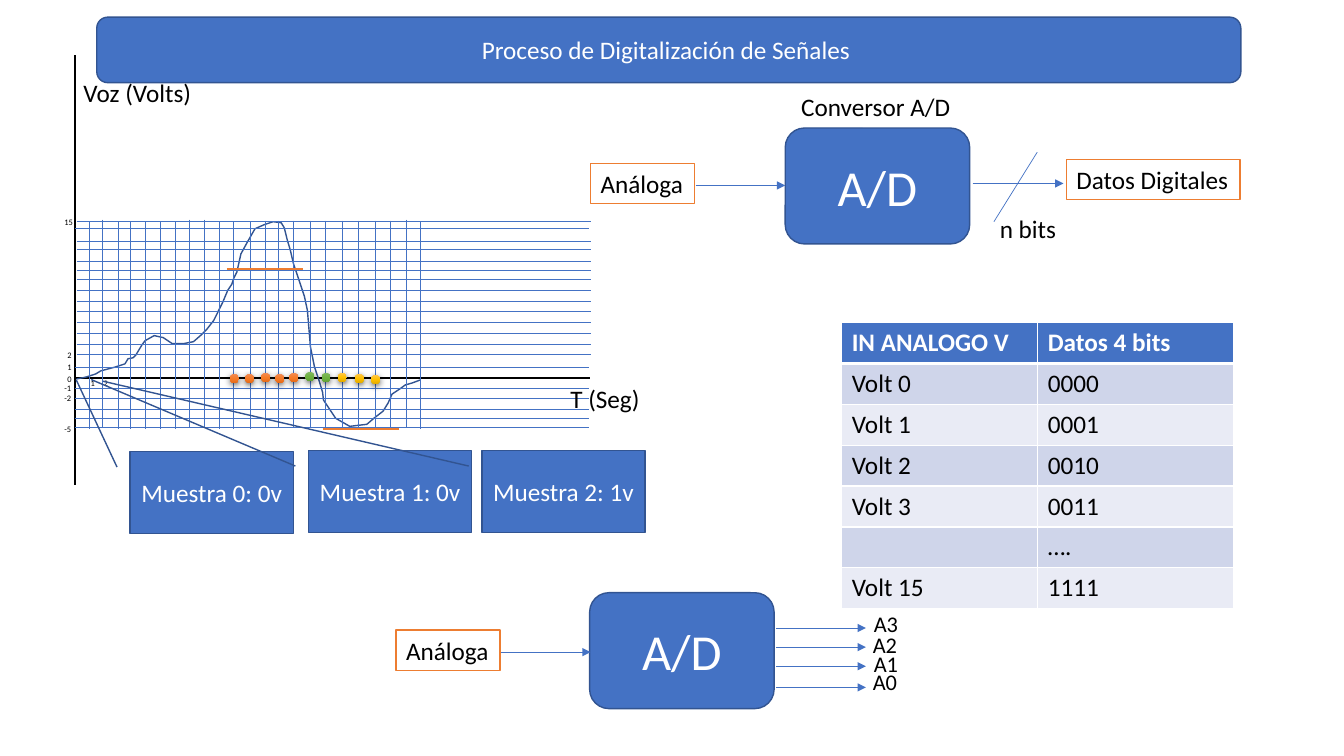
from dataclasses import dataclass
from itertools import product
from typing import NamedTuple
from lxml.etree import SubElement
from pptx import Presentation
from pptx.dml.color import RGBColor
from pptx.enum.shapes import MSO_CONNECTOR, MSO_SHAPE
from pptx.enum.text import MSO_ANCHOR, MSO_AUTO_SIZE, PP_ALIGN
from pptx.oxml import parse_xml
from pptx.oxml.ns import nsdecls, qn
from pptx.util import Emu, Pt

@dataclass(frozen=True)
class Theme:
    font: str = "Calibri"
    blue: str = "4472C4"
    edge: str = "325491"
    orange: str = "ED7D31"
    black: str = "000000"
    white: str = "FFFFFF"
    bands: tuple = ("E9EBF5", "CFD5EA")
    reds: tuple = ("F18C57", "F67B28", "E56C19")
    greens: tuple = ("81B861", "6FB242", "62A336")
    yellows: tuple = ("FFC64B", "FFC000", "E3AB00")
    tiny: int = 6
    small: int = 16
    body: int = 18
    big: int = 36

class Box(NamedTuple):
    x: float
    y: float
    w: float
    h: float

class Label(NamedTuple):
    text: str
    box: Box
    size: int
    framed: bool = False

class Line(NamedTuple):
    x1: float
    y1: float
    x2: float
    y2: float
    color: str
    width: float = 0.5
    arrow: bool = False

T = Theme()
CELL = 91440  # the slide is a grid of square cells, ten to the inch
COLS, ROWS = 133.33, 75
BAR = Box(9.6, 1.7, 113.5, 6.5)
VOICE = [
    (7.6, 37.6), (8.6, 37.4), (9.5, 37.1), (10, 36.8), (11.5, 36.4), (12.4, 36.1), (12.7, 35.6), (13.2, 35.5),
    (13.5, 35.2), (14.1, 34.2), (14.4, 33.8), (15.3, 33.3), (16.2, 33.5), (17.1, 34.1), (18.2, 34.1), (19.2, 33.9),
    (20, 33.2), (20.5, 32.7), (21.2, 31.8), (21.8, 30.6), (22.1, 30), (22.6, 28.8), (23, 28.2), (23.2, 27.6),
    (23.5, 27), (23.9, 25.2), (24.5, 24.1), (25.3, 22.7), (26.2, 22.3), (27.1, 22), (27.9, 22.1), (28.2, 22.6),
    (28.5, 23.8), (28.8, 24.8), (29.1, 26.1), (29.4, 27), (29.8, 28.2), (30.2, 29.4), (30.5, 30.8), (30.8, 34.4),
    (31.2, 36.4), (31.7, 37.9), (32, 38.9), (32.1, 39.7), (32.7, 40.6), (33.3, 41.5), (34.7, 42.3), (36.4, 42.1),
    (37.1, 41.5), (38, 40.8), (38.5, 40), (38.9, 39.1), (39.8, 38.5), (40.2, 38.2), (40.9, 38), (41.7, 37.7)]
# Grid lines, keyed by the edge they start from
LEVELS = {7.4: (38.5, 39.5, 40.6, 41.5, 42.4, 36.4, 22.7),
          7.6: (35.2, 34.2, 33.1, 32, 30.9, 29.9, 28.8, 27.7, 26.8, 25.9, 24.7, 23.9, 22)}
TIMES = {22: (8.9, 11.7, 12.9, 14.4, 15.9, 17.4, 21.8, 23.2, 24.8, 41.7),
         21.8: (10.2, 18.8, 20.3, 40.3),
         21.9: (26.3, 27.6, 29.1, 30.8, 32.3, 34, 35.6, 37.2, 38.7)}
TICKS = [("-1", 5.4, 37.5), ("0", 5.7, 36.6), ("1", 5.7, 35.4), ("2", 5.7, 34.2), ("-2", 5.4, 38.5),
         ("-5", 5.4, 41.6), ("15", 5.4, 21), ("1", 8, 37), ("2", 9.3, 37)]
SAMPLES = [("Muestra 0: 0v ", 12.9, 44.8, -0.88, -0.33), ("Muestra 1: 0v ", 30.6, 44.7, -0.87, -1.33),
           ("Muestra 2: 1v", 47.8, 44.7, -0.85, -2.32)]
DOTS = {T.reds: [(22.8, 37.1), (24.3, 37.1), (25.9, 37), (27.3, 37.1), (28.7, 37)],
        T.greens: [(30.3, 36.9), (31.9, 37)], T.yellows: [(33.5, 37), (35.2, 37.1), (36.8, 37.2)]}
LABELS = [Label("T (Seg)", Box(55.6, 37.5, 9, 4), T.body),
          Label("Voz (Volts)", Box(7.3, 7.2, 12.8, 4), T.body),
          Label("Conversor A/D", Box(78.5, 8.6, 17, 4), T.body),
          Label("Análoga", Box(58.6, 16.2, 10.3, 4), T.body, True),
          Label("Datos Digitales", Box(105.8, 15.8, 17.2, 4), T.body, True),
          Label("n bits", Box(98.2, 20.7, 7.7, 4), T.body),
          Label("Análoga", Box(39.3, 62.5, 10.3, 4), T.body, True)]
WIRES = [Line(69, 18.4, 77.9, 18.4, T.blue, arrow=True), Line(96.5, 18.2, 105.5, 18.2, T.blue, arrow=True),
         Line(102.9, 15.1, 98.6, 22, T.blue), Line(49.6, 64.7, 58.6, 64.7, T.blue, arrow=True)]
OUTPUTS = [("A3", 62.3, 85.7, 60), ("A2", 64.2, 85.6, 62.1), ("A1", 66.1, 85.7, 64), ("A0", 68.2, 85.6, 65.8)]
CODES = [("IN ANALOGO V", "Datos 4 bits"), *((f"Volt {n}", f"{n:04b}") for n in range(4)),
         ("", "…."), ("Volt 15", "1111")]

def grid(*cells: float) -> list:
    return [Emu(round(c * CELL)) for c in cells]

def rgb(color: str) -> RGBColor:
    return RGBColor.from_string(color)

def write(tf, text: str, *, size: int = T.body, color: str = T.black, bold: bool = False, align=PP_ALIGN.LEFT) -> None:
    p = tf.paragraphs[0]
    p.alignment = align
    r = p.add_run()
    r.text = text
    r.font.name, r.font.size, r.font.bold = T.font, Pt(size), bold
    r.font.color.rgb = rgb(color)

def paint(sp, fill: str, line: str) -> None:
    sp.fill.solid()
    sp.fill.fore_color.rgb = rgb(fill)
    sp.line.color.rgb = rgb(line)
    sp.line.width = Pt(1)

def add_block(shapes, kind, box: Box, text: str = "", size: int = T.body):
    sp = shapes.add_shape(kind, *grid(*box))
    sp.shadow.inherit = False
    paint(sp, T.blue, T.edge)
    if text:
        sp.text_frame.word_wrap = True
        sp.text_frame.vertical_anchor = MSO_ANCHOR.MIDDLE
        write(sp.text_frame, text, size=size, color=T.white, align=PP_ALIGN.CENTER)
    return sp

def add_label(shapes, label: Label) -> None:
    sp = shapes.add_textbox(*grid(*label.box))
    if label.framed:
        paint(sp, T.white, T.orange)
    sp.text_frame.word_wrap = False
    sp.text_frame.auto_size = MSO_AUTO_SIZE.SHAPE_TO_FIT_TEXT
    write(sp.text_frame, label.text, size=label.size)

def add_line(shapes, line: Line) -> None:
    s = shapes.add_connector(MSO_CONNECTOR.STRAIGHT, *grid(*line[:4]))
    s.line.color.rgb = rgb(line.color)
    s.line.width = Pt(line.width)
    if line.arrow:
        SubElement(s._element.spPr.find(qn("a:ln")), qn("a:tailEnd"), type="triangle")
    SubElement(s._element.spPr, qn("a:effectLst"))

def add_dot(shapes, x: float, y: float, tones: tuple) -> None:
    sp = shapes.add_shape(MSO_SHAPE.OVAL, *grid(x, y, 0.9, 0.9))
    sp.line.fill.background()
    ln = sp._element.spPr.find(qn("a:ln"))
    stops = "".join(f'<a:gs pos="{pos}"><a:srgbClr val="{tone}"/></a:gs>'
                    for pos, tone in zip((0, 50000, 100000), tones))
    ln.addprevious(parse_xml(f'<a:gradFill {nsdecls("a")}><a:gsLst>{stops}</a:gsLst>'
                             '<a:lin ang="5400000" scaled="0"/></a:gradFill>'))
    ln.addnext(parse_xml(f'<a:effectLst {nsdecls("a")}><a:outerShdw blurRad="57150" dist="19050" dir="5400000">'
                         '<a:srgbClr val="000000"><a:alpha val="63000"/></a:srgbClr></a:outerShdw></a:effectLst>'))

def add_curve(shapes, points: list) -> None:
    fb = shapes.build_freeform(*grid(*points[0]))
    fb.add_line_segments([grid(*pt) for pt in points[1:]], close=False)
    sp = fb.convert_to_shape()
    sp.shadow.inherit = False
    paint(sp, T.blue, T.edge)
    sp.fill.background()

def add_codes(shapes, box: Box, rows: list) -> None:
    table = shapes.add_table(len(rows), 2, *grid(*box)).table
    for i, j in product(range(len(rows)), range(2)):
        cell, head = table.cell(i, j), i == 0
        cell.fill.solid()
        cell.fill.fore_color.rgb = rgb(T.blue if head else T.bands[i % 2])
        for n, side in enumerate("LRTB"):
            width = 3 if (i, side) in ((0, "B"), (1, "T")) else 1
            cell._tc.get_or_add_tcPr().insert(n, parse_xml(
                f'<a:ln{side} {nsdecls("a")} w="{Pt(width)}"><a:solidFill>'
                f'<a:srgbClr val="{T.white}"/></a:solidFill></a:ln{side}>'))
        if rows[i][j]:
            write(cell.text_frame, rows[i][j], bold=head, color=T.white if head else T.black)

def main() -> None:
    prs = Presentation()
    prs.slide_width, prs.slide_height = grid(COLS, ROWS)
    shapes = prs.slides.add_slide(prs.slide_layouts[5]).shapes
    # Title over its rounded bar
    title = shapes.title
    title.left, title.top, title.width, title.height = grid(*BAR)
    title.text_frame.auto_size = MSO_AUTO_SIZE.NONE
    title.text_frame.vertical_anchor = MSO_ANCHOR.MIDDLE
    write(title.text_frame, "Proceso de Digitalización de Señales ", color=T.white, align=PP_ALIGN.CENTER)
    title._element.addprevious(add_block(shapes, MSO_SHAPE.ROUNDED_RECTANGLE, BAR)._element)
    # Voice signal: axes, curve, grid and scale
    for end in ((7.4, 5.5, 7.4, 48.1), (7.4, 37.5, 58.5, 37.5)):
        add_line(shapes, Line(*end, T.black, 1.5))
    add_curve(shapes, VOICE)
    for x, levels in LEVELS.items():
        for y in levels:
            add_line(shapes, Line(x, y, x + 51, y, T.blue))
    for y, times in TIMES.items():
        for x in times:
            add_line(shapes, Line(x, y, x, y + 20.6, T.blue))
    for text, x, y in TICKS:
        add_label(shapes, Label(text, Box(x, y, 2.4 if len(text) == 1 else 2.9, 2), T.tiny))
    # Sample callouts, peak marks and sampling dots
    for text, x, y, tip_y, tip_x in SAMPLES:
        sp = add_block(shapes, MSO_SHAPE.LINE_CALLOUT_1, Box(x, y, 16.2, 8.1), text)
        for i, value in enumerate((0.19, -0.08, tip_y, tip_x)):
            sp.adjustments[i] = value
    for x, y in ((22.5, 26.7), (32, 42.6)):
        add_line(shapes, Line(x, y, x + 7.6, y, T.orange, 1.5))
    for tones, spots in DOTS.items():
        for x, y in spots:
            add_dot(shapes, x, y, tones)
    # Converters with their inputs, outputs and code table
    for x, y in ((77.9, 12.7), (58.5, 58.8)):
        add_block(shapes, MSO_SHAPE.ROUNDED_RECTANGLE, Box(x, y, 18.3, 11.5), "A/D", T.big)
    for wire in WIRES:
        add_line(shapes, wire)
    for label in LABELS:
        add_label(shapes, label)
    add_codes(shapes, Box(83.5, 32, 38.9, 28.4), CODES)
    for text, wire_y, x, y in OUTPUTS:
        add_line(shapes, Line(77, wire_y, 85.9, wire_y, T.blue, arrow=True))
        add_label(shapes, Label(text, Box(x, y, 4.5, 3.7), T.small))
    prs.save("out.pptx")

if __name__ == "__main__":
    main()
